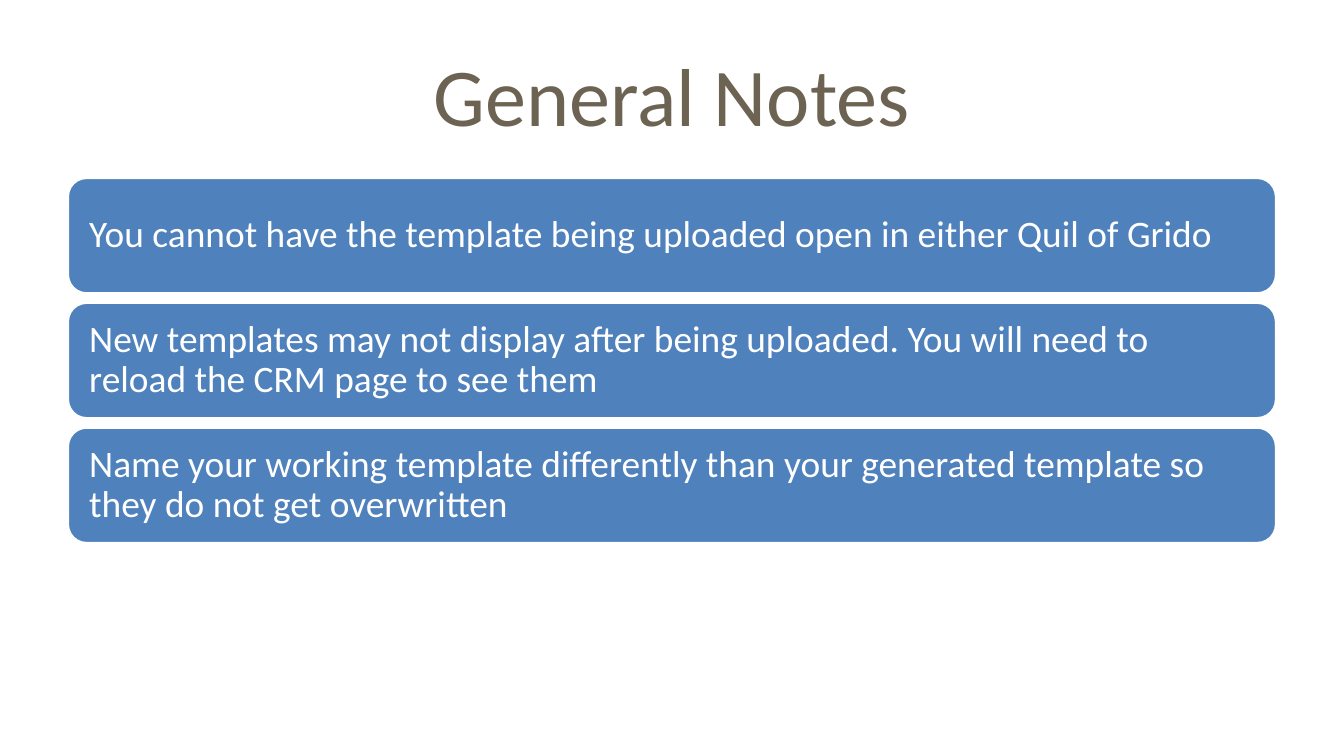
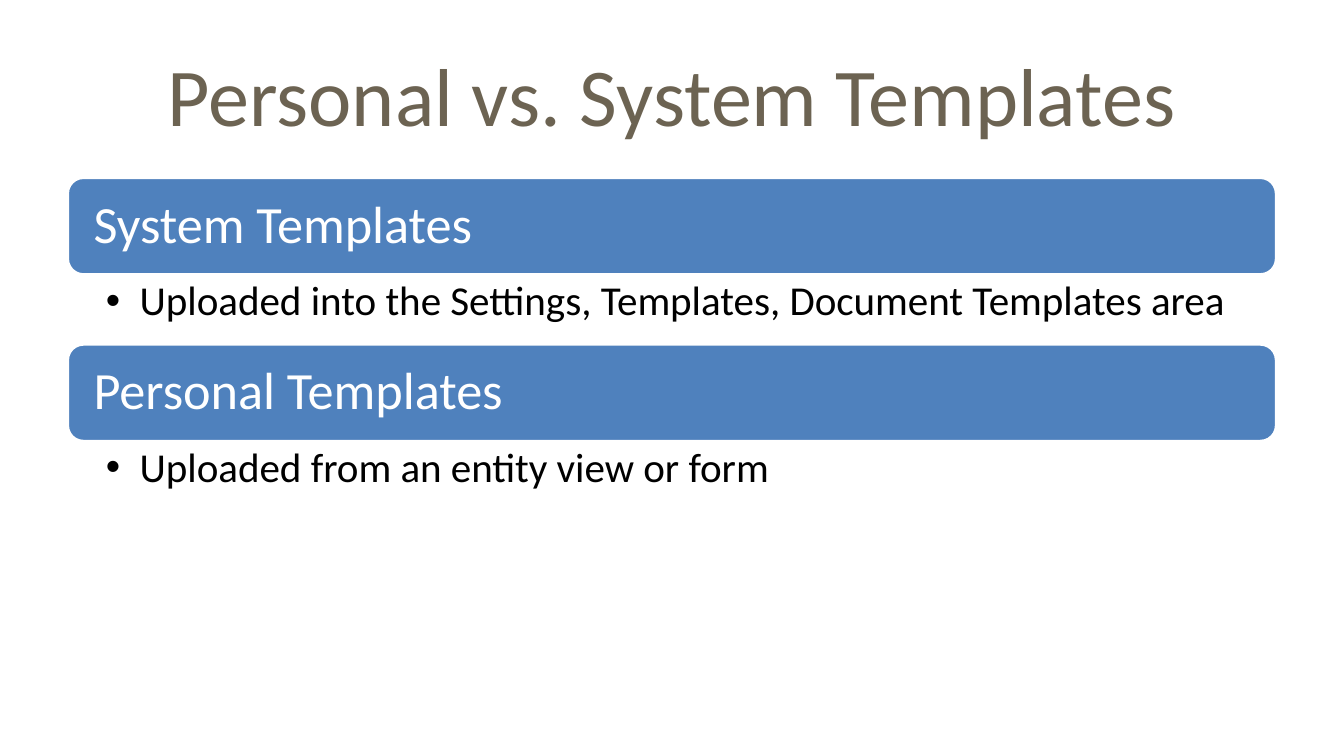
"""Builds two slides of notes on document templates."""
import pptx
import pptx.dml.color
import pptx.enum.shapes
import pptx.enum.text
import pptx.oxml
import pptx.oxml.ns
import pptx.util

Cm = pptx.util.Cm
Pt = pptx.util.Pt
PP_ALIGN = pptx.enum.text.PP_ALIGN
ANCHOR = pptx.enum.text.MSO_ANCHOR

COLORS = {"title": "6C6352", "bar": "4F81BD", "white": "FFFFFF", "body": "000000"}
FONT = "Calibri"
LEFT, WIDTH = 1.27, 22.86
TITLE_TOP, TITLE_HEIGHT = 0.58, 2.39
CONTENT_TOP = 3.35
NOTE_HEIGHT, NOTE_PITCH = 2.21, 2.36
HEADING_HEIGHT, SECTION_PITCH = 1.85, 3.15
LIST_HEIGHT = 1.3

NOTES = [
    "You cannot have the template being uploaded open in either Quil of Grido",
    "New templates may not display after being uploaded. You will need to reload the CRM page to see them",
    "Name your working template differently than your generated template so they do not get overwritten",
]
SECTIONS = [
    ("System Templates", "Uploaded into the Settings, Templates, Document Templates area"),
    ("Personal Templates", "Uploaded from an entity view or form"),
]


def set_values(target, values):
    """Set each named attribute of the target."""
    for name, value in values.items():
        setattr(target, name, value)


def color(name):
    """Return the named colour."""
    return pptx.dml.color.RGBColor.from_string(COLORS[name])


def place(shape, top, height):
    """Put a shape into the content column."""
    set_values(shape, {"left": Cm(LEFT), "top": Cm(top),
                       "width": Cm(WIDTH), "height": Cm(height)})


def write(shape, text, size, color_name, frame_values, para_values):
    """Write one formatted paragraph and return it."""
    frame = shape.text_frame
    set_values(frame, {"word_wrap": True,
                       "auto_size": pptx.enum.text.MSO_AUTO_SIZE.NONE, **frame_values})
    para = frame.paragraphs[0]
    set_values(para, para_values)
    span = para.add_run()
    span.text = text
    set_values(span.font, {"name": FONT, "size": Pt(size)})
    span.font.color.rgb = color(color_name)
    return para


def add_page(deck, layout_name, title):
    """Add a slide with its title."""
    page = deck.slides.add_slide(deck.slide_layouts.get_by_name(layout_name))
    place(page.shapes.title, TITLE_TOP, TITLE_HEIGHT)
    write(page.shapes.title, title, 44, "title",
          {"vertical_anchor": ANCHOR.MIDDLE}, {"alignment": PP_ALIGN.CENTER})
    return page


def add_bar(page, text, top, height, size, inset):
    """Add a rounded bar holding left-aligned white text."""
    bar = page.shapes.add_shape(
        pptx.enum.shapes.MSO_SHAPE.ROUNDED_RECTANGLE,
        Cm(LEFT), Cm(top), Cm(WIDTH), Cm(height))
    bar.shadow.inherit = False
    bar.fill.solid()
    bar.fill.fore_color.rgb = color("bar")
    bar.line.color.rgb = color("white")
    bar.line.width = Pt(2)
    margins = {f"margin_{side}": Cm(inset) for side in ("left", "top", "right", "bottom")}
    write(bar, text, size, "white", {"vertical_anchor": ANCHOR.MIDDLE, **margins},
          {"alignment": PP_ALIGN.LEFT, "line_spacing": 0.9})


def fill_list(holder, text, top):
    """Move a body placeholder and give it one bulleted line."""
    place(holder, top, LIST_HEIGHT)
    frame_values = {"margin_left": Cm(0.73), "margin_right": Cm(0.56),
                    "margin_top": Cm(0.1), "margin_bottom": Cm(0.1),
                    "vertical_anchor": ANCHOR.TOP}
    para = write(holder, text, 22, "body", frame_values,
                 {"level": 1, "line_spacing": 0.9, "space_before": Pt(0)})
    properties = para._p.get_or_add_pPr()
    properties.set("marL", str(Cm(0.64)))
    properties.set("indent", str(-Cm(0.64)))
    properties.append(pptx.oxml.parse_xml(
        f'<a:buChar {pptx.oxml.ns.nsdecls("a")} char="•"/>'))


def add_notes_page(deck):
    """Add the slide of stacked notes."""
    page = add_page(deck, "Title Only", "General Notes")
    for index, note in enumerate(NOTES):
        add_bar(page, note, CONTENT_TOP + index * NOTE_PITCH, NOTE_HEIGHT, 20, 0.31)


def add_comparison_page(deck):
    """Add the slide of headings with a list under each."""
    page = add_page(deck, "Two Content", "Personal vs. System Templates")
    holders = [holder for holder in page.placeholders if holder.placeholder_format.idx]
    for index, (holder, (heading, detail)) in enumerate(zip(holders, SECTIONS)):
        top = CONTENT_TOP + index * SECTION_PITCH
        add_bar(page, heading, top, HEADING_HEIGHT, 28, 0.41)
        fill_list(holder, detail, top + HEADING_HEIGHT)


def main():
    """Build and save the deck."""
    deck = pptx.Presentation()
    set_values(deck, {"slide_width": Cm(25.4), "slide_height": Cm(14.29)})
    add_notes_page(deck)
    add_comparison_page(deck)
    deck.save("out.pptx")


if __name__ == "__main__":
    main()
